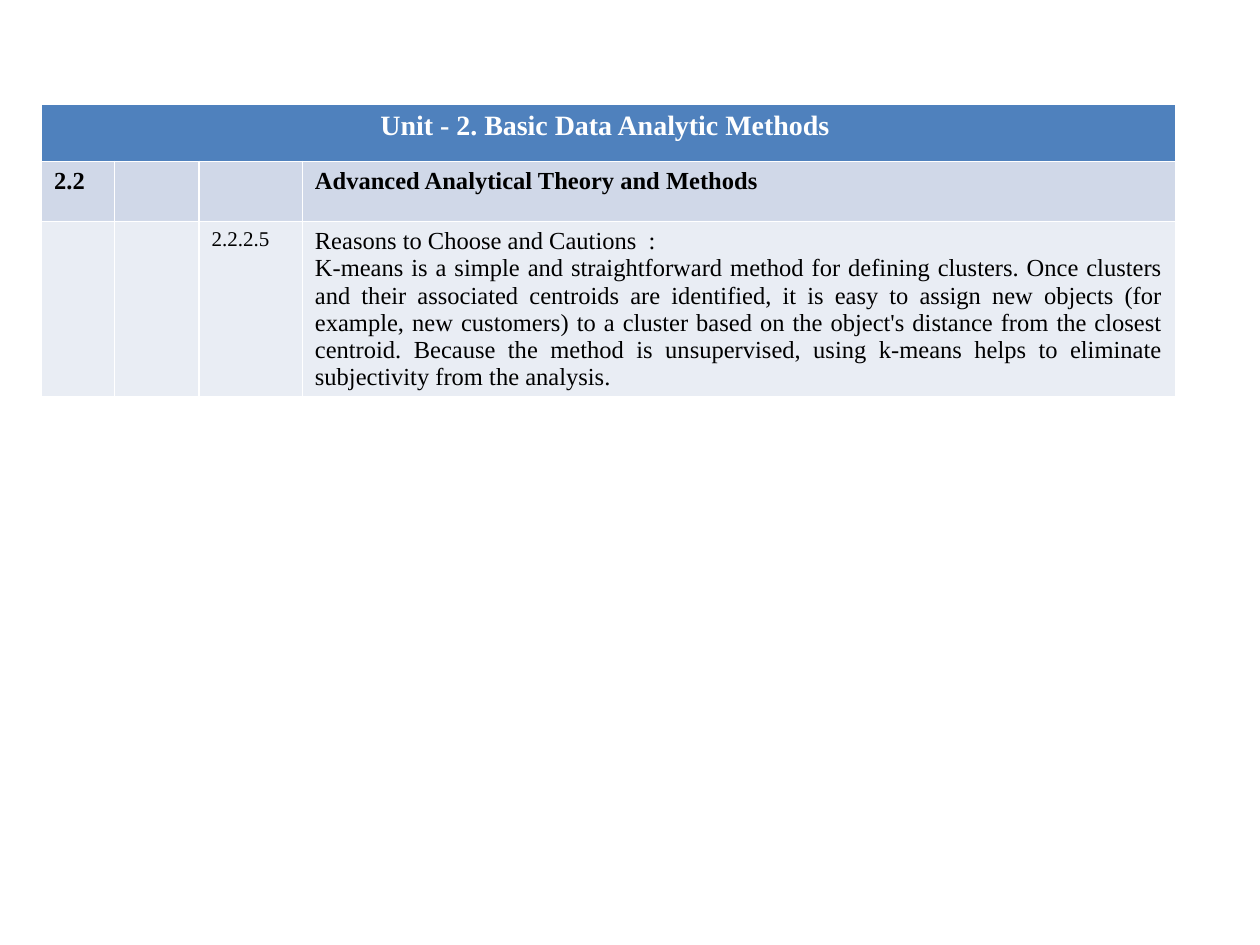
import pptx
import pptx.util
import pptx.dml.color
import pptx.enum.text

Inches = pptx.util.Inches
Align = pptx.enum.text.PP_ALIGN

theme = {
    "font": "Times New Roman",
    "white": "FFFFFF", "black": "000000",
    "fills": ["4F81BD", "D0D8E8", "E9EDF4"],
    "head": 16, "body": 14, "small": 12,
}


def color(name):
    return pptx.dml.color.RGBColor.from_string(name)


def write(cell, *lines, size=theme["body"], ink=theme["black"], bold=False, align=Align.LEFT):
    """Fill a cell with paragraphs; the first keeps the left edge if justified."""
    frame = cell.text_frame
    for i, line in enumerate(lines):
        para = frame.paragraphs[0] if i == 0 else frame.add_paragraph()
        first = i == 0 and align == Align.JUSTIFY
        para.alignment = Align.LEFT if first else align
        run = para.add_run()
        run.text = line
        run.font.name = theme["font"]
        run.font.size = pptx.util.Pt(size)
        run.font.bold = bold
        run.font.color.rgb = color(ink)


deck = pptx.Presentation()
deck.slide_width, deck.slide_height = Inches(10), Inches(7.5)
slide = deck.slides.add_slide(deck.slide_layouts[6])

# Table grid
widths = [0.58, 0.67, 0.82, 6.93]
heights = [0.45, 0.48, 1.38]
table = slide.shapes.add_table(
    len(heights), len(widths), Inches(0.33), Inches(0.83),
    Inches(sum(widths)), Inches(sum(heights))).table
for col, width in zip(table.columns, widths):
    col.width = Inches(width)
for row, height, fill in zip(table.rows, heights, theme["fills"]):
    row.height = Inches(height)
    for cell in row.cells:
        cell.fill.solid()
        cell.fill.fore_color.rgb = color(fill)

# Unit heading
table.cell(0, 0).merge(table.cell(0, 3))
write(table.cell(0, 0), "Unit - 2. Basic Data Analytic Methods ",
      size=theme["head"], ink=theme["white"], bold=True, align=Align.CENTER)

# Section
write(table.cell(1, 0), "2.2", bold=True)
write(table.cell(1, 3), "Advanced Analytical Theory and Methods", bold=True)

# Topic
write(table.cell(2, 2), "2.2.2.5", size=theme["small"])
write(table.cell(2, 3),
      "Reasons to Choose and Cautions  :",
      "K-means is a simple and straightforward method for defining clusters. "
      "Once clusters and their associated centroids are identified, it is easy "
      "to assign new objects (for example, new customers) to a cluster based on "
      "the object's distance from the closest centroid. Because the method is "
      "unsupervised, using k-means helps to eliminate subjectivity from the analysis.",
      align=Align.JUSTIFY)

deck.save("out.pptx")
